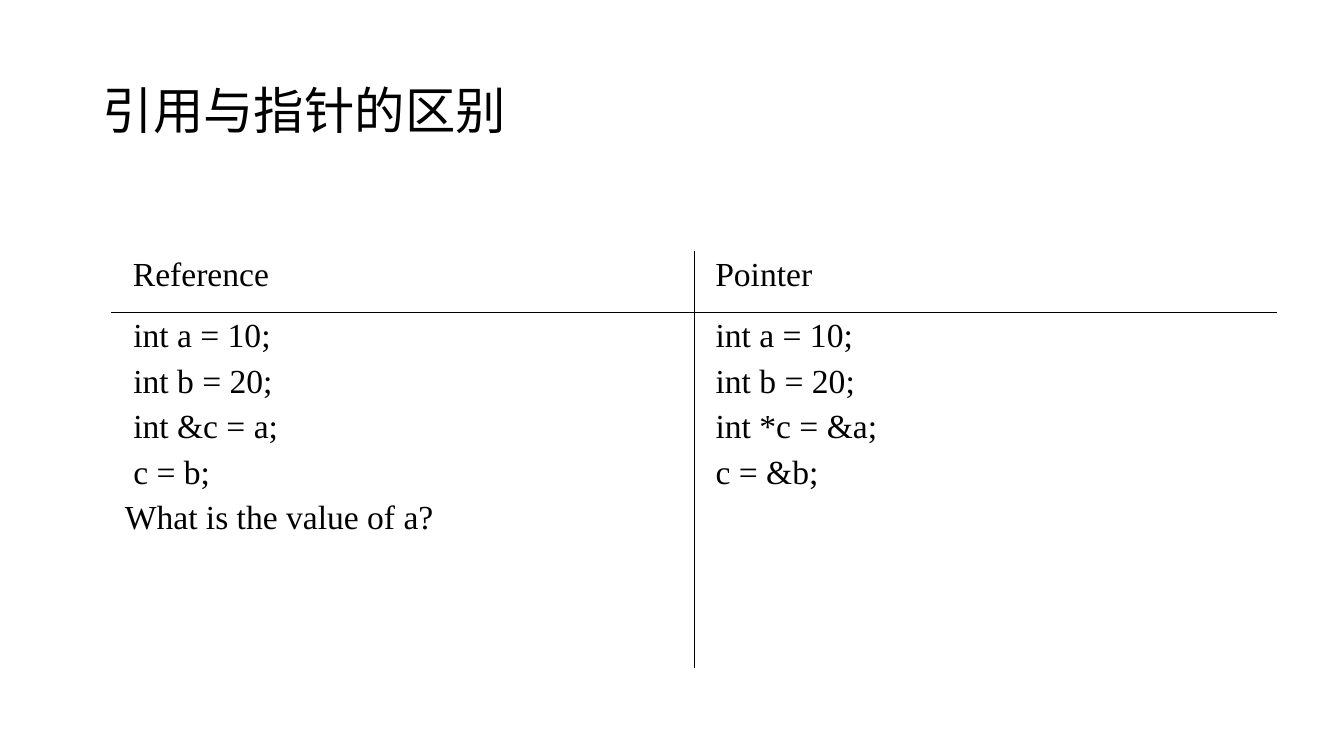
from lxml.etree import SubElement
from pptx import Presentation
from pptx.dml.color import RGBColor
from pptx.enum.text import MSO_ANCHOR, PP_ALIGN
from pptx.oxml.ns import qn
from pptx.util import Inches, Pt

COLORS = {"ink": "000000"}
COLUMN_WIDTH = 5.78
ROW_HEIGHTS = [0.6, 3.53]
CELL_INSET = 0.13
HEADING_INDENT = 0.08
BORDER_WIDTH = Pt(0.45)

HEADINGS = ["Reference", "Pointer"]
EXAMPLES = [
    [" int a = 10;", " int b = 20;", " int &c = a;", " c = b;", "What is the value of a?"],
    [" int a = 10;", " int b = 20;", " int *c = &a;", " c = &b;"],
]


def set_font(para, name, size):
    para.font.name = name
    para.font.size = Pt(size)
    para.font.bold = False
    para.font.color.rgb = RGBColor.from_string(COLORS["ink"])


def add_title(page, text):
    title = page.shapes.title
    title.left, title.top = Inches(0.92), Inches(0.4)
    title.width, title.height = Inches(11.5), Inches(1.45)
    frame = title.text_frame
    frame.text = text
    frame.vertical_anchor = MSO_ANCHOR.MIDDLE
    para = frame.paragraphs[0]
    para.alignment = PP_ALIGN.LEFT
    para.line_spacing = 0.9
    set_font(para, "Calibri", 36)


def add_borders(cell, sides):
    properties = cell._tc.get_or_add_tcPr()
    for side in sides:
        line = SubElement(properties, qn(f"a:ln{side}"), w=str(BORDER_WIDTH))
        fill = SubElement(line, qn("a:solidFill"))
        SubElement(fill, qn("a:srgbClr"), val=COLORS["ink"])


def fill_cell(cell, lines, sides, indent=0):
    add_borders(cell, sides)
    cell.fill.background()
    cell.margin_left = Inches(CELL_INSET + indent)
    cell.margin_right = Inches(CELL_INSET)
    cell.margin_top = cell.margin_bottom = Inches(0.05)
    cell.text = "\n".join(lines)
    for index, para in enumerate(cell.text_frame.paragraphs):
        para.space_before = Pt(6 if index else 0)
        set_font(para, "Times New Roman", 24)


def add_comparison(page):
    frame = page.shapes.add_table(
        len(ROW_HEIGHTS), len(HEADINGS), Inches(1.11), Inches(2.5),
        Inches(COLUMN_WIDTH * len(HEADINGS)), Inches(sum(ROW_HEIGHTS)))
    table = frame.table
    table.first_row = table.horz_banding = False
    for row, height in zip(table.rows, ROW_HEIGHTS):
        row.height = Inches(height)
    for index, (heading, lines) in enumerate(zip(HEADINGS, EXAMPLES)):
        table.columns[index].width = Inches(COLUMN_WIDTH)
        inner_side = "RL"[index]
        fill_cell(table.cell(0, index), [heading], inner_side + "B", HEADING_INDENT)
        fill_cell(table.cell(1, index), lines, inner_side + "T")


def main():
    deck = Presentation()
    deck.slide_width, deck.slide_height = Inches(13.34), Inches(7.5)
    page = deck.slides.add_slide(deck.slide_layouts.get_by_name("Title Only"))
    add_title(page, "引用与指针的区别")
    add_comparison(page)
    deck.save("out.pptx")


if __name__ == "__main__":
    main()
